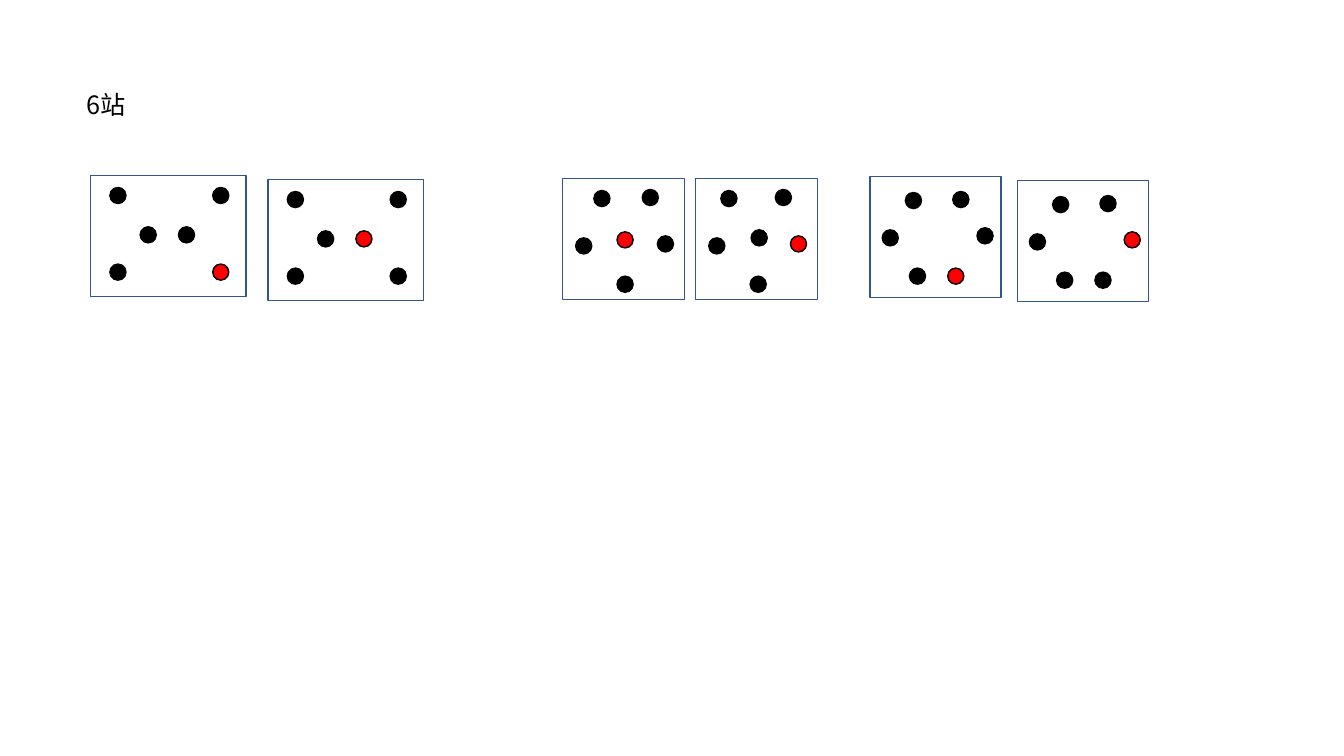
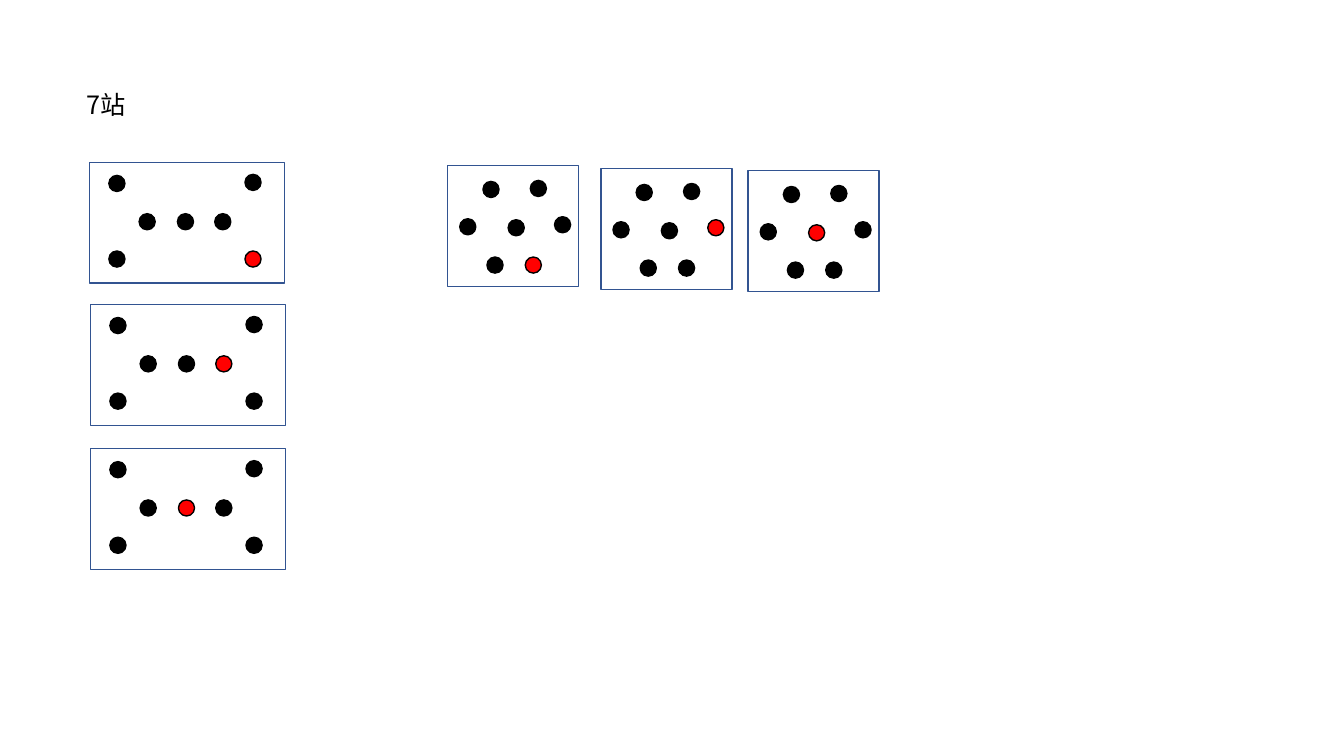
from lxml import etree
from pptx import Presentation
from pptx.dml.color import RGBColor
from pptx.enum.shapes import MSO_SHAPE as Preset
from pptx.enum.text import MSO_AUTO_SIZE as AutoSize
from pptx.oxml.ns import qn
from pptx.util import Inches, Pt

BLACK = RGBColor(0x00, 0x00, 0x00)
RED = RGBColor(0xFF, 0x00, 0x00)
FRAME_BLUE = RGBColor(0x32, 0x54, 0x91)
FONT = "Noto Sans CJK SC"
FRAME_HEIGHT = 1.2
DOT_SIZE = 0.16

# Station offsets from the top left corner of their frame
CORNERS_SIX = [(0.19, 0.12), (0.19, 0.88), (1.21, 0.88), (1.21, 0.12)]
CORNERS_SEVEN = [(0.19, 0.13), (0.19, 0.88), (1.54, 0.88), (1.54, 0.12)]
ROW = [(0.49, 0.51), (0.87, 0.51), (1.24, 0.51)]
PENTAGON = [(0.13, 0.59), (0.54, 0.97), (0.79, 0.11), (0.94, 0.57)]
HEXAGON = [(0.35, 0.16), (0.12, 0.53), (0.39, 0.91),
           (0.82, 0.15), (0.77, 0.91), (1.06, 0.51)]

# Each layout: frame width and station offsets
WIDE_SIX = (1.54, CORNERS_SIX + ROW[:2])
WIDE_SEVEN = (1.93, CORNERS_SEVEN + ROW)
PENTAGON_NARROW = (1.21, PENTAGON + [(0.31, 0.12), (0.54, 0.53)])
PENTAGON_BROAD = (1.21, PENTAGON + [(0.25, 0.12), (0.55, 0.51)])
RING = (1.3, HEXAGON)
RING_WITH_CENTRE = (1.3, HEXAGON + [(0.6, 0.54)])

# Each panel: layout, left, top, index of the red station
SLIDES = [
    ("6站", [
        (WIDE_SIX, 0.9, 1.74, 2),
        (WIDE_SIX, 2.66, 1.78, 5),
        (PENTAGON_NARROW, 5.58, 1.77, 5),
        (PENTAGON_BROAD, 6.9, 1.77, 3),
        (RING, 8.63, 1.75, 4),
        (RING, 10.09, 1.79, 5),
    ]),
    ("7站", [
        (WIDE_SEVEN, 0.89, 1.61, 2),
        (WIDE_SEVEN, 0.9, 3.02, 6),
        (WIDE_SEVEN, 0.9, 4.45, 5),
        (RING_WITH_CENTRE, 4.44, 1.64, 4),
        (RING_WITH_CENTRE, 5.96, 1.67, 5),
        (RING_WITH_CENTRE, 7.42, 1.69, 6),
    ]),
]


def add_outlined(page, preset, left, top, width, height, line_color, fill=None):
    """Add a preset shape with a 1 pt outline and an optional fill."""
    shape = page.shapes.add_shape(
        preset, Inches(left), Inches(top), Inches(width), Inches(height))
    shape.shadow.inherit = False
    shape.line.color.rgb = line_color
    shape.line.width = Pt(1)
    if fill is None:
        shape.fill.background()
    else:
        shape.fill.solid()
        shape.fill.fore_color.rgb = fill


def add_title(page, text):
    """Add the station count at the top left of the page."""
    box = page.shapes.add_textbox(
        Inches(0.76), Inches(0.84), Inches(2.06), Inches(0.4))
    frame = box.text_frame
    frame.word_wrap = True
    frame.auto_size = AutoSize.SHAPE_TO_FIT_TEXT
    para = frame.paragraphs[0]
    span = para.add_run()
    span.text = text
    span.font.size = Pt(18)
    span.font.name = FONT
    span.font.color.rgb = BLACK
    east_asian = etree.SubElement(span.font._element, qn("a:ea"))
    east_asian.set("typeface", FONT)


deck = Presentation()
deck.slide_width = Inches(13.33)
deck.slide_height = Inches(7.5)

for title, panels in SLIDES:
    page = deck.slides.add_slide(deck.slide_layouts[6])
    add_title(page, title)
    for (width, stations), left, top, red_index in panels:
        add_outlined(page, Preset.RECTANGLE, left, top, width, FRAME_HEIGHT,
                     FRAME_BLUE)
        for index, (across, down) in enumerate(stations):
            add_outlined(page, Preset.FLOWCHART_CONNECTOR, left + across,
                         top + down, DOT_SIZE, DOT_SIZE, BLACK,
                         RED if index == red_index else BLACK)

deck.save("out.pptx")
